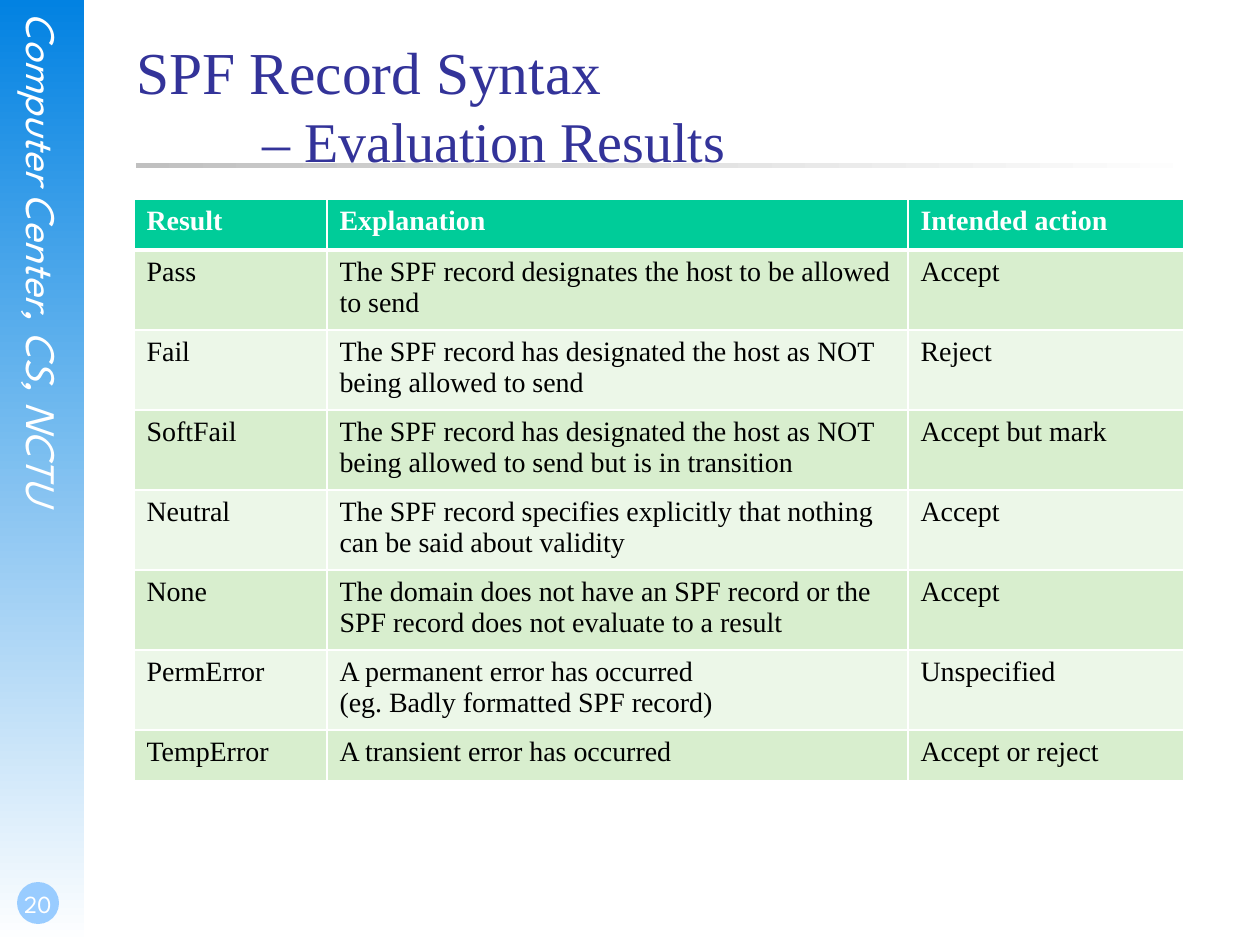
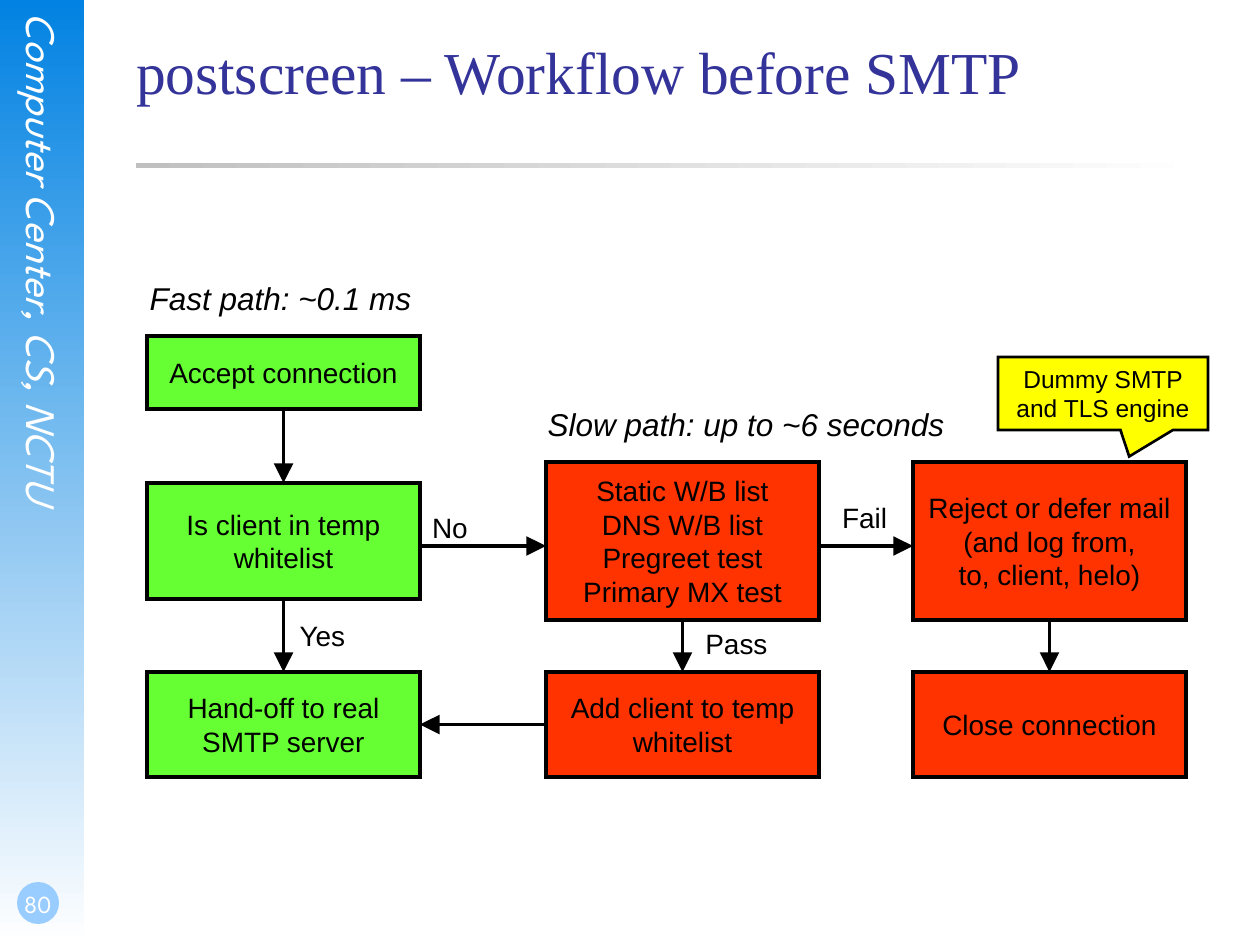
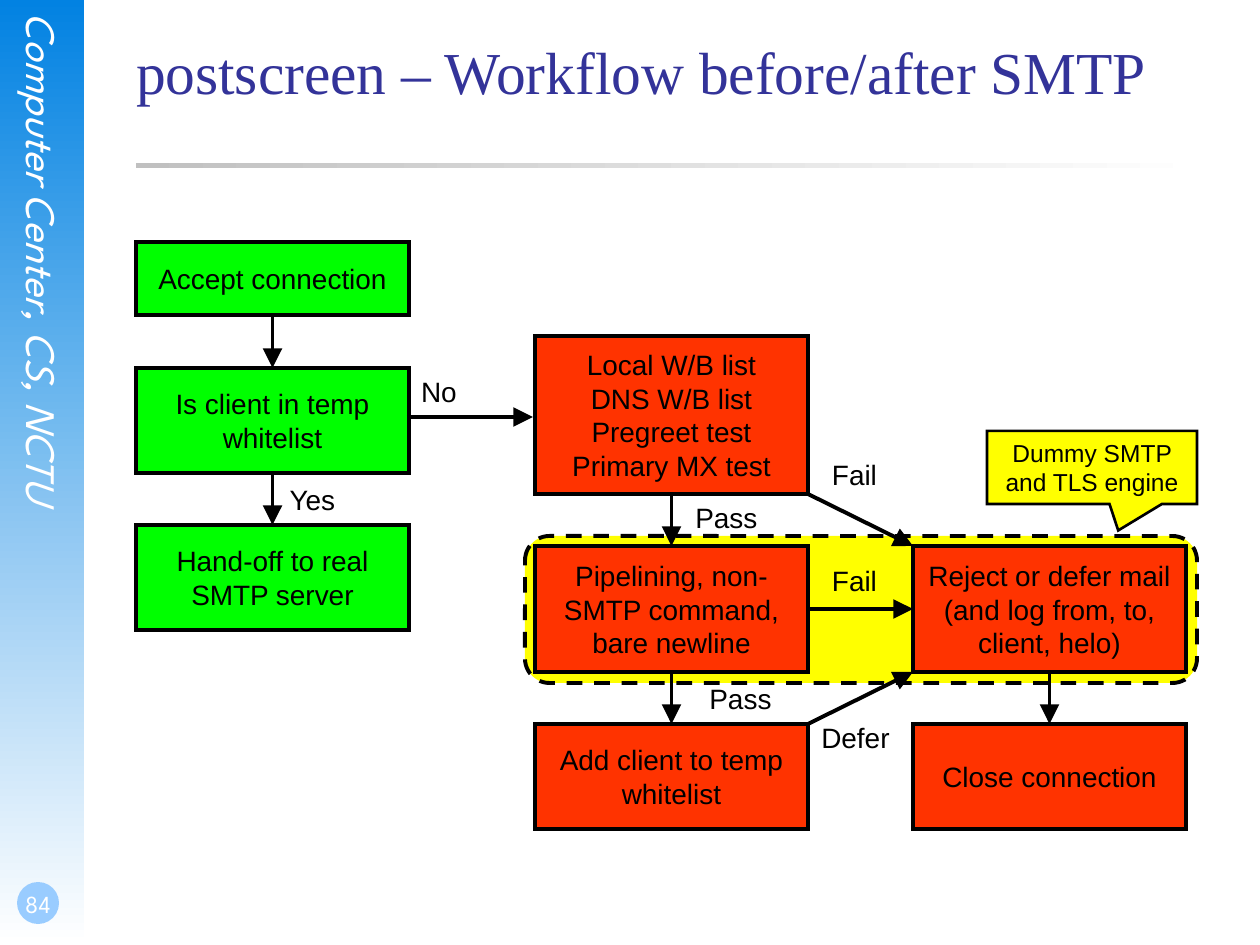
from lxml import etree
from pptx import Presentation
from pptx.dml.color import RGBColor
from pptx.enum.dml import MSO_LINE
from pptx.enum.shapes import MSO_CONNECTOR, MSO_SHAPE
from pptx.enum.text import MSO_ANCHOR, MSO_AUTO_SIZE, PP_ALIGN
from pptx.oxml.ns import qn
from pptx.util import Pt

RECT, OVAL = MSO_SHAPE.RECTANGLE, MSO_SHAPE.OVAL
ROUND, NOTE = MSO_SHAPE.ROUNDED_RECTANGLE, MSO_SHAPE.RECTANGULAR_CALLOUT
STRAIGHT, DASH = MSO_CONNECTOR.STRAIGHT, MSO_LINE.DASH
TOP, LOW = MSO_ANCHOR.TOP, MSO_ANCHOR.BOTTOM
LEFT, MID = PP_ALIGN.LEFT, PP_ALIGN.CENTER
NONE, GROW = MSO_AUTO_SIZE.NONE, MSO_AUTO_SIZE.SHAPE_TO_FIT_TEXT

SCALE = 914400 / 126
WIDE, TALL = 1260, 945
NODE_W = 273

COLORS = {
    "white": "FFFFFF", "black": "000000", "sky": "0282E2", "disc": "99CCFF",
    "gray": "C0C0C0", "navy": "333399", "teal": "00CC99", "mint": "D8EECE",
    "pale": "ECF7E8", "lime": "66FF33", "green": "00FF00", "red": "FF3300",
    "yellow": "FFFF00",
}
FONTS = {
    "title": {"name": "Times New Roman", "size": Pt(34), "color": "navy"},
    "cell": {"name": "Times New Roman", "size": Pt(16), "color": "black", "bold": False},
    "head": {"name": "Times New Roman", "size": Pt(16), "color": "white", "bold": True},
    "band": {"name": "League Spartan", "size": Pt(24), "color": "white", "italic": True},
    "page": {"name": "League Spartan", "size": Pt(14), "color": "white"},
    "node": {"name": "Arial", "size": Pt(16), "color": "black"},
    "path": {"name": "Arial", "size": Pt(18), "color": "black", "italic": True},
    "note": {"name": "Arial", "size": Pt(14), "color": "black"},
}
BARE = {"margin_left": 0, "margin_top": 0, "margin_right": 0, "margin_bottom": 0}
TAG = {"word_wrap": False, "auto_size": GROW, "margin_left": 0, "margin_right": 0}


def px(n):
    return round(n * SCALE)


def emu(box):
    return [px(n) for n in box]


def rgb(name):
    return RGBColor.from_string(COLORS[name])


def apply(obj, vals):
    for key, val in vals.items():
        if key == "color":
            obj.color.rgb = rgb(val)
        else:
            setattr(obj, key, val)


def write(frame, text, font, align=LEFT, **vals):
    frame.text = text
    apply(frame, vals)
    for para in frame.paragraphs:
        para.alignment = align
        for run in para.runs:
            apply(run.font, FONTS[font])


def label(slide, box, text, font, align=MID, **vals):
    part = slide.shapes.add_textbox(*emu(box))
    write(part.text_frame, text, font, align, **vals)
    return part


def block(slide, kind, box, fill, line=None):
    part = slide.shapes.add_shape(kind, *emu(box))
    part.shadow.inherit = False
    if isinstance(fill, tuple):
        name, angle = fill
        part.fill.gradient()
        part.fill.gradient_angle = angle
        for stop, tone in zip(part.fill.gradient_stops, (name, "white")):
            stop.color.rgb = rgb(tone)
    else:
        part.fill.solid()
        part.fill.fore_color.rgb = rgb(fill)
    if line:
        apply(part.line, {"color": "black", "width": Pt(line)})
        edge = part.element.spPr.find(qn("a:ln"))
        etree.SubElement(edge, qn("a:miter"), lim="800000")
    else:
        part.line.fill.background()
    return part


def arrow(slide, ends):
    part = slide.shapes.add_connector(STRAIGHT, *emu(ends))
    apply(part.line, {"color": "black", "width": Pt(2.25)})
    props = part.element.spPr
    etree.SubElement(props.find(qn("a:ln")), qn("a:tailEnd"),
                     type="triangle", w="lg", len="lg")
    etree.SubElement(props, qn("a:effectLst"))
    return part


def chrome(slide, layout):
    band = label(slide, (19, 13, 50, 644), "Computer Center, CS, NCTU", "band",
                 LEFT, word_wrap=True, **BARE)
    band.text_frame._txBody.bodyPr.set("vert", "eaVert")
    parts = [
        block(slide, RECT, (0, 0, 84, TALL), ("sky", 270)),
        band,
        block(slide, OVAL, (17, 882, 42, 42), "disc"),
        block(slide, RECT, (136, 163, 1071, 5), ("gray", 0)),
    ]
    for num, part in enumerate(parts, 20):
        part.element.xpath(".//p:cNvPr")[0].set("id", str(num))
        layout.shapes.element.append(part.element)


def header(slide, title, page):
    frame = slide.shapes.title.text_frame
    write(frame, title, "title", vertical_anchor=TOP, auto_size=NONE,
          word_wrap=True, **BARE)
    para = frame.paragraphs[0]
    if "\t" in title:
        tabs = etree.SubElement(para._p.get_or_add_pPr(), qn("a:tabLst"))
        etree.SubElement(tabs, qn("a:tab"), pos=str(px(126)), algn="l")
    for run in para.runs[1:]:
        run.font.size = Pt(32)
    label(slide, (0, 861, 73, 63), page, "page", word_wrap=True,
          vertical_anchor=LOW, **{**BARE, "margin_left": px(3), "margin_bottom": px(6)})


def border(cell, sides):
    props = cell._tc.get_or_add_tcPr()
    for side, width in sides.items():
        line = etree.SubElement(props, qn("a:ln" + side), w=str(Pt(width)))
        fill = etree.SubElement(line, qn("a:solidFill"))
        etree.SubElement(fill, qn("a:srgbClr"), val=COLORS["white"])


def grid(slide, box, widths, heights, rows):
    table = slide.shapes.add_table(len(rows), len(widths), *emu(box)).table
    for col, width in zip(table.columns, widths):
        col.width = px(width)
    for r, (row, height) in enumerate(zip(rows, heights)):
        table.rows[r].height = px(height)
        fill = "teal" if r == 0 else ("pale", "mint")[r % 2]
        for c, text in enumerate(row):
            cell = table.cell(r, c)
            write(cell.text_frame, text, "cell" if r else "head")
            border(cell, {"L": 1, "R": 1, "T": 3 if r == 1 else 1, "B": 1 if r else 3})
            cell.fill.solid()
            cell.fill.fore_color.rgb = rgb(fill)


def flow(slide, left, top, nodes, joins, lines, labels, note, zone=None):
    def at(x, y, w, h):
        return left + x, top + y, w, h

    if zone:
        part = block(slide, ROUND, at(*zone), "yellow", 2.25)
        part.adjustments[0] = 0.167
        part.line.dash_style = DASH
    made = {}
    for key, (x, y, h, fill, text) in nodes.items():
        made[key] = block(slide, RECT, at(x, y, NODE_W, h), fill, 2.25)
        write(made[key].text_frame, text, "node", MID)
    for start, out, end, into in joins:
        part = arrow(slide, (0, 0, 0, 0))
        part.begin_connect(made[start], out)
        part.end_connect(made[end], into)
    for x1, y1, x2, y2 in lines:
        arrow(slide, (left + x1, top + y1, left + x2, top + y2))
    for x, y, w, h, font, text in labels:
        label(slide, at(x, y, w, h), text, font, **TAG)
    part = block(slide, NOTE, at(*note, 210, 73), "yellow", 1.5)
    part.adjustments[0], part.adjustments[1] = 0.125, 0.863
    write(part.text_frame, "Dummy SMTP and TLS engine", "note", MID)


RESULTS = [
    ("Result", "Explanation", "Intended action"),
    ("Pass", "The SPF record designates the host to be allowed to send", "Accept"),
    ("Fail", "The SPF record has designated the host as NOT being allowed to send",
     "Reject"),
    ("SoftFail", "The SPF record has designated the host as NOT being allowed to send "
     "but is in transition", "Accept but mark"),
    ("Neutral", "The SPF record specifies explicitly that nothing can be said about "
     "validity", "Accept"),
    ("None", "The domain does not have an SPF record or the SPF record does not "
     "evaluate to a result", "Accept"),
    ("PermError", "A permanent error has occurred\v(eg. Badly formatted SPF record)",
     "Unspecified"),
    ("TempError", "A transient error has occurred", "Accept or reject"),
]
ACCEPT, CLIENT = "Accept connection", "Is client in temp whitelist"
HAND, ADD = "Hand-off to real SMTP server", "Add client to temp whitelist"
CLOSE = "Close connection"
TESTS = "DNS W/B list\vPregreet test\vPrimary MX test"
SHARED = [("accept", 2, "client", 0), ("client", 2, "hand", 0), ("reject", 2, "close", 0)]

BEFORE = {
    "nodes": {
        "accept": (0, 63, 73, "lime", ACCEPT),
        "client": (0, 210, 116, "lime", CLIENT),
        "hand": (0, 399, 105, "lime", HAND),
        "tests": (399, 189, 158, "red", "Static W/B list\v" + TESTS),
        "add": (399, 399, 105, "red", ADD),
        "reject": (766, 189, 158, "red",
                   "Reject or defer mail\v(and log from,\vto, client, helo)"),
        "close": (766, 399, 105, "red", CLOSE),
    },
    "joins": SHARED + [("tests", 2, "add", 0), ("add", 1, "hand", 3)],
    "lines": [(273, 273, 399, 273), (672, 273, 766, 273)],
    "labels": [
        (273, 231, 60, 47, "node", "No"),
        (139, 339, 73, 47, "node", "Yes"),
        (546, 347, 87, 47, "node", "Pass"),
        (682, 221, 71, 47, "node", "Fail"),
        (-10, 0, 287, 50, "path", "Fast path: ~0.1 ms"),
        (388, 126, 422, 50, "path", "Slow path: up to ~6 seconds"),
    ],
    "note": (851, 84),
}
AFTER = {
    "zone": (389, 294, 672, 147),
    "nodes": {
        "accept": (0, 0, 73, "green", ACCEPT),
        "client": (0, 126, 105, "green", CLIENT),
        "hand": (0, 283, 105, "green", HAND),
        "tests": (399, 94, 158, "red", "Local W/B list\v" + TESTS),
        "pipe": (399, 304, 126, "red", "Pipelining, non-SMTP command, bare newline"),
        "add": (399, 482, 105, "red", ADD),
        "reject": (777, 304, 126, "red",
                   "Reject or defer mail (and log from, to, client, helo)"),
        "close": (777, 482, 105, "red", CLOSE),
    },
    "joins": SHARED + [("tests", 2, "pipe", 0), ("pipe", 2, "add", 0),
                       ("pipe", 3, "reject", 1)],
    "lines": [(271, 175, 397, 175), (672, 252, 777, 304), (672, 482, 777, 430)],
    "labels": [
        (273, 126, 60, 47, "node", "No"),
        (140, 234, 73, 47, "node", "Yes"),
        (547, 252, 87, 47, "node", "Pass"),
        (683, 209, 71, 47, "node", "Fail"),
        (561, 433, 87, 47, "node", "Pass"),
        (683, 315, 71, 47, "node", "Fail"),
        (673, 472, 93, 47, "node", "Defer"),
    ],
    "note": (851, 189),
}


def main():
    deck = Presentation()
    apply(deck, {"slide_width": px(WIDE), "slide_height": px(TALL)})
    layout = deck.slide_layouts[5]
    spot = dict(zip(("left", "top", "width", "height"), emu((136, 35, 1071, 158))))
    apply(layout.placeholders[0], spot)
    heads = [
        ("SPF Record Syntax\v\t– Evaluation Results", "20"),
        ("postscreen – Workflow before SMTP", "80"),
        ("postscreen – Workflow before/after SMTP", "84"),
    ]
    slides = [deck.slides.add_slide(layout) for _ in heads]
    chrome(slides[0], layout)
    for slide, (title, page) in zip(slides, heads):
        header(slide, title, page)
    grid(slides[0], (134, 199, 1050, 582), (193, 581, 276), [51] + [80] * 6 + [51], RESULTS)
    flow(slides[1], 147, 273, **BEFORE)
    flow(slides[2], 136, 242, **AFTER)
    deck.save("out.pptx")


if __name__ == "__main__":
    main()
